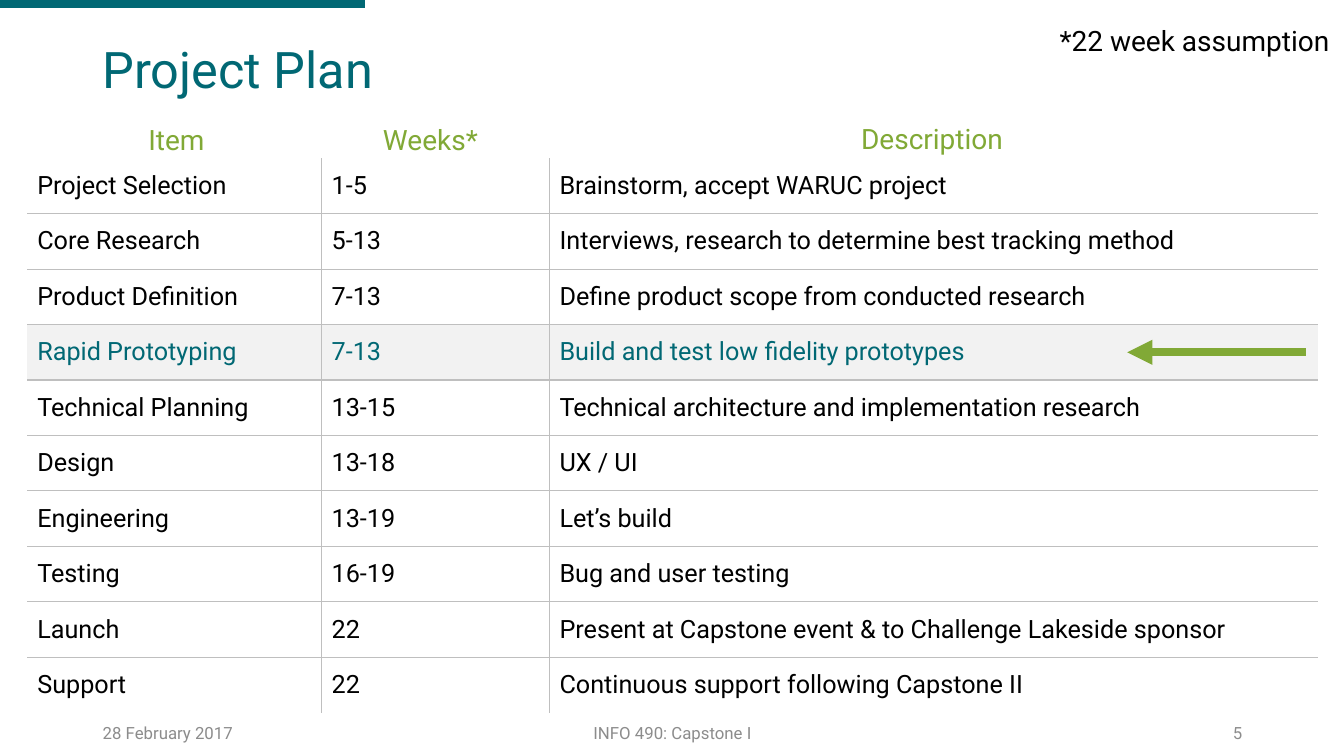
from dataclasses import dataclass
from lxml.etree import SubElement as Sub
from pptx import Presentation
from pptx.dml.color import RGBColor as Rgb
from pptx.enum.shapes import MSO_CONNECTOR as Conn
from pptx.enum.text import MSO_ANCHOR as Anchor, PP_ALIGN as Align
from pptx.oxml import parse_xml
from pptx.oxml.ns import nsdecls, qn
from pptx.util import Inches, Pt


@dataclass(frozen=True)
class Theme:
    font: str = "Roboto"
    teal: str = "016874"
    green: str = "81A936"
    black: str = "000000"
    white: str = "FFFFFF"
    gray: str = "8C8C8C"
    rule: str = "BFBFBF"
    band: str = "F2F2F2"
    title: int = 36
    head: int = 20
    body: int = 18
    foot: int = 12


THEME = Theme()
COLS = (2.92, 2.26, 7.62)
STEP = 0.55
ACTIVE = 3
PLAN = (
    ("Project Selection", "1-5", "Brainstorm, accept WARUC project"),
    ("Core Research", "5-13", "Interviews, research to determine best tracking method"),
    ("Product Definition", "7-13", "Define product scope from conducted research"),
    ("Rapid Prototyping", "7-13", "Build and test low fidelity prototypes"),
    ("Technical Planning", "13-15", "Technical architecture and implementation research"),
    ("Design", "13-18", "UX / UI"),
    ("Engineering", "13-19", "Let’s build"),
    ("Testing", "16-19", "Bug and user testing"),
    ("Launch", "22", "Present at Capstone event & to Challenge Lakeside sponsor"),
    ("Support", "22", "Continuous support following Capstone II"),
)


def style(para, size, color, **form):
    for key, value in form.items():
        setattr(para, key, value)
    looks = {"name": THEME.font, "size": Pt(size)}
    for key, value in looks.items():
        setattr(para.font, key, value)
    para.font.color.rgb = Rgb.from_string(color)


def add_text(slide, box, text, size, color, anchor=Anchor.TOP, **form):
    frame = slide.shapes.add_textbox(*map(Inches, box)).text_frame
    looks = {"word_wrap": True, "vertical_anchor": anchor, "text": text}
    for key, value in looks.items():
        setattr(frame, key, value)
    style(frame.paragraphs[0], size, color, **form)


def add_line(slide, start, end, color, width):
    line = slide.shapes.add_connector(Conn.STRAIGHT, *map(Inches, start + end))
    line.line.color.rgb = Rgb.from_string(color)
    line.line.width = Pt(width)
    Sub(line._element.spPr, qn("a:effectLst"))
    return line


def set_edges(cell, shown):
    props = cell._tc.get_or_add_tcPr()
    for spot, side in enumerate("LRTB"):
        paint = f'<a:solidFill><a:srgbClr val="{THEME.rule}"/></a:solidFill>'
        if side not in shown:
            paint = "<a:noFill/>"
        edge = parse_xml(f'<a:ln{side} {nsdecls("a")} w="{Pt(1)}">{paint}</a:ln{side}>')
        props.insert(spot, edge)


def add_header(slide, box):
    left, top, width, height = box
    add_line(slide, (left, top + 0.03), (left + 3.62, top + 0.03), THEME.teal, 7.5)
    add_text(slide, (left + 0.92, top + 0.4, 11.5, 0.95), "Project Plan",
             THEME.title, THEME.teal, line_spacing=0.9)
    add_text(slide, (left + width - 2.92, top + 0.18, 2.92, 0.44),
             "*22 week assumption", THEME.head, THEME.black)


def add_heads(slide, box):
    left, top, width, height = box
    heads = (("Item", 0, 0, 2.96), ("Weeks*", 2.85, 0, 2.3), ("Description", 5.16, -0.01, 7.63))
    for text, shift, drop, span in heads:
        add_text(slide, (left + shift, top + drop, span, height), text,
                 THEME.head, THEME.green, alignment=Align.CENTER)


def add_plan(slide, box):
    left, top, width, height = box
    grid = slide.shapes.add_table(len(PLAN), len(COLS), *map(Inches, box)).table
    grid.first_row = grid.horz_banding = False
    for col, span in zip(grid.columns, COLS):
        col.width = Inches(span)
    for i, words in enumerate(PLAN):
        grid.rows[i].height = Inches(STEP)
        ink, back = (THEME.teal, THEME.band) if i == ACTIVE else (THEME.black, THEME.white)
        for j, text in enumerate(words):
            cell = grid.cell(i, j)
            cell.text = text
            cell.vertical_anchor = Anchor.MIDDLE
            cell.fill.solid()
            cell.fill.fore_color.rgb = Rgb.from_string(back)
            style(cell.text_frame.paragraphs[0], THEME.body, ink)
            inner = {"L": j > 0, "R": j < len(COLS) - 1, "T": i > 0, "B": i < len(PLAN) - 1}
            set_edges(cell, [side for side, shown in inner.items() if shown])
    mid = top + (ACTIVE + 0.5) * STEP
    arrow = add_line(slide, (left + 12.68, mid), (left + 10.91, mid), THEME.green, 6)
    Sub(arrow.line._get_or_add_ln(), qn("a:tailEnd"), type="triangle")


def add_footer(slide, box):
    left, top, width, height = box
    parts = (
        ("28 February 2017", 0, 3, Align.LEFT),
        ("INFO 490: Capstone I", 3.5, 4.5, Align.CENTER),
        ("5", width - 3, 3, Align.RIGHT),
    )
    for text, shift, span, align in parts:
        add_text(slide, (left + shift, top, span, height), text, THEME.foot,
                 THEME.gray, Anchor.MIDDLE, alignment=align)


def main():
    deck = Presentation()
    deck.slide_width, deck.slide_height = Inches(13.33), Inches(7.5)
    slide = deck.slides.add_slide(deck.slide_layouts[6])
    add_header(slide, (0, 0, 13.33, 1.35))
    add_plan(slide, (0.27, 1.57, sum(COLS), STEP * len(PLAN)))
    add_footer(slide, (0.92, 7.07, 11.5, 0.4))
    add_heads(slide, (0.27, 1.17, 12.79, 0.44))
    deck.save("out.pptx")


if __name__ == "__main__":
    main()
